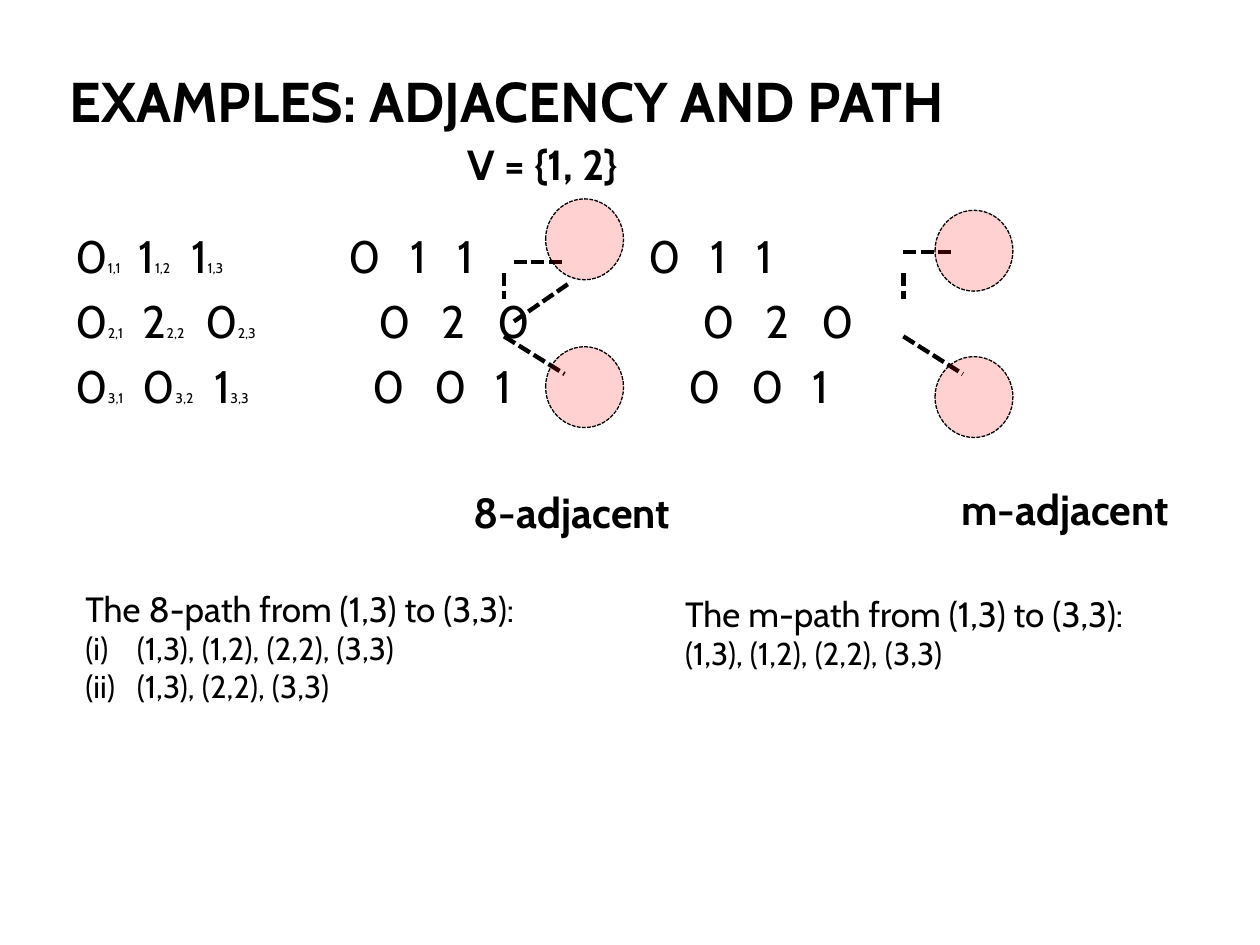
"""Builds the slide on adjacency and path examples."""
from lxml.etree import SubElement
from pptx import Presentation
from pptx.dml.color import RGBColor
from pptx.enum.dml import MSO_LINE
from pptx.enum.shapes import MSO_CONNECTOR, MSO_SHAPE
from pptx.enum.text import MSO_ANCHOR, PP_ALIGN
from pptx.oxml.ns import qn
from pptx.util import Cm, Pt

COLOURS = {"ink": "000000", "pixel": "FF0000"}
FONT = "Cabin"


def style_font(font, size, bold=False):
    font.name, font.size, font.bold = FONT, Pt(size), bold
    font.color.rgb = RGBColor.from_string(COLOURS["ink"])


def add_text(left, top, width, height, lines, bold=False):
    box = page.shapes.add_textbox(Cm(left), Cm(top), Cm(width), Cm(height))
    frame = box.text_frame
    frame.word_wrap = True
    frame.text = "\n".join(text for text, size in lines)
    for para, (text, size) in zip(frame.paragraphs, lines):
        style_font(para.font, size, bold)
    return frame


deck = Presentation()
deck.slide_width, deck.slide_height = Cm(25.4), Cm(19.05)
page = deck.slides.add_slide(deck.slide_layouts[5])

title = page.shapes.title
title.left, title.top, title.width, title.height = Cm(1.27), Cm(0.89), Cm(20.12), Cm(3.18)
frame = title.text_frame
frame.text = "EXAMPLES: ADJACENCY AND PATH"
frame.vertical_anchor = MSO_ANCHOR.BOTTOM
frame.margin_left = frame.margin_right = Cm(0.13)
frame.margin_top, frame.margin_bottom = Cm(0), Cm(1.37)
frame.paragraphs[0].alignment = PP_ALIGN.LEFT
style_font(frame.paragraphs[0].font, 32, True)

matrix = [
    ("011", [1.28, 2.34, 5.5, 6.75, 7.7, 11.56, 12.8, 13.74]),
    ("020", [1.36, 2.62, 6.12, 7.39, 8.5, 12.65, 13.92, 15.04]),
    ("001", [1.36, 2.8, 6, 7.24, 8.46, 12.37, 13.64, 14.86]),
]
box = page.shapes.add_textbox(Cm(1.27), Cm(4.47), Cm(20.12), Cm(13.46))
frame = box.text_frame
frame.word_wrap = True
for row, (values, stops) in enumerate(matrix, 1):
    para = frame.paragraphs[0] if row == 1 else frame.add_paragraph()
    para.space_before = Pt(6)
    tabs = SubElement(para._p.get_or_add_pPr(), qn("a:tabLst"))
    for stop in stops:
        SubElement(tabs, qn("a:tab"), pos=str(Cm(stop)), algn="l")
    for column, value in enumerate(values, 1):
        for text, size in ((value, 26), (f"{row},{column}", 8), ("\t", 26)):
            span = para.add_run()
            span.text = text
            style_font(span.font, size)
    span = para.add_run()
    span.text = "\t".join(values * 2)
    style_font(span.font, 26)

for left, top, width, label in [
    (9.17, 2.67, 4.93, "V = {1, 2}"),
    (9.3, 9.68, 5.1, "8-adjacent"),
    (19.13, 9.63, 5.38, "m-adjacent"),
]:
    add_text(left, top, width, 1.27, [(label, 24)], True)

eight_path = add_text(1.47, 11.71, 10.19, 2.62, [
    ("The 8-path from (1,3) to (3,3):", 20),
    ("(1,3), (1,2), (2,2), (3,3)", 18),
    ("(1,3), (2,2), (3,3)", 18),
])
for para in eight_path.paragraphs[1:]:
    properties = para._p.get_or_add_pPr()
    properties.set("marL", str(Cm(1.04)))
    properties.set("indent", str(-Cm(1.04)))
    number = properties.makeelement(qn("a:buAutoNum"), {"type": "romanLcParenBoth"})
    properties.insert(0, number)

add_text(13.56, 11.81, 10.39, 1.85, [
    ("The m-path from (1,3) to (3,3):", 20),
    ("(1,3), (1,2), (2,2), (3,3)", 18),
])

for ends in [
    (10.36, 5.28, 11.4, 5.28),
    (10.16, 5.51, 10.16, 6.02),
    (10.36, 6.48, 11.46, 5.72),
    (10.16, 6.78, 11.38, 7.54),
    (18.21, 5.08, 19.25, 5.08),
    (18.21, 5.51, 18.21, 6.02),
    (18.21, 6.78, 19.41, 7.54),
]:
    link = page.shapes.add_connector(MSO_CONNECTOR.STRAIGHT, *map(Cm, ends))
    link.line.color.rgb = RGBColor.from_string(COLOURS["ink"])
    link.line.width = Pt(2.5)
    link.line.dash_style = MSO_LINE.SQUARE_DOT
    SubElement(link._element.spPr, qn("a:effectLst"))

for left, top in [(11, 4.01), (11, 6.99), (18.85, 4.24), (18.85, 7.19)]:
    circle = page.shapes.add_shape(MSO_SHAPE.OVAL, Cm(left), Cm(top), Cm(1.57), Cm(1.63))
    circle.shadow.inherit = False
    circle.fill.solid()
    circle.fill.fore_color.rgb = RGBColor.from_string(COLOURS["pixel"])
    tint = circle._element.spPr.find(qn("a:solidFill"))[0]
    SubElement(tint, qn("a:alpha"), val="18000")
    circle.line.color.rgb = RGBColor.from_string(COLOURS["ink"])
    circle.line.width = Pt(0.75)
    circle.line.dash_style = MSO_LINE.SQUARE_DOT

deck.save("out.pptx")
